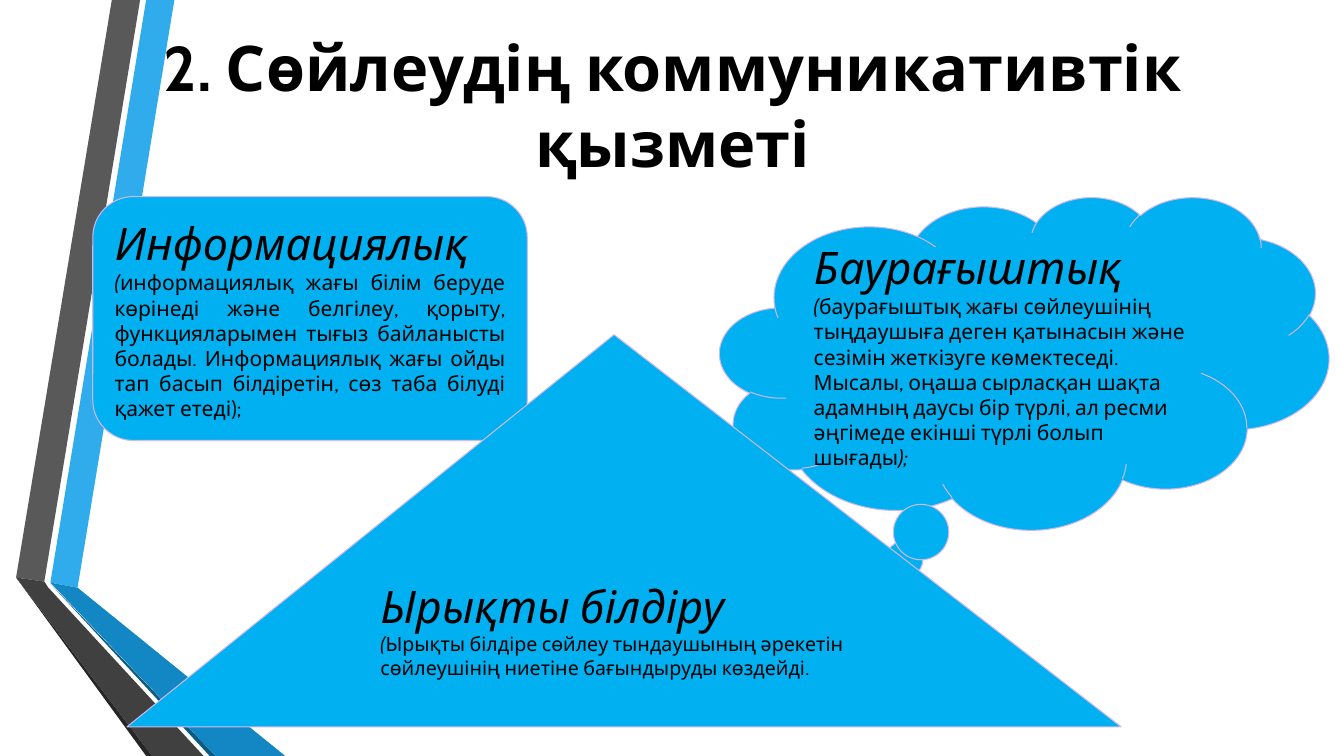
from pptx import Presentation
from pptx.dml.color import RGBColor
from pptx.enum.shapes import MSO_SHAPE
from pptx.enum.text import MSO_ANCHOR, PP_ALIGN
from pptx.util import Inches, Pt

ROUNDED = MSO_SHAPE.ROUNDED_RECTANGLE
CLOUD = MSO_SHAPE.CLOUD_CALLOUT
TRIANGLE = MSO_SHAPE.ISOSCELES_TRIANGLE
MIDDLE = MSO_ANCHOR.MIDDLE
LEFT, CENTER, JUSTIFY = PP_ALIGN.LEFT, PP_ALIGN.CENTER, PP_ALIGN.JUSTIFY

FONT = "Cabin"
BLACK = RGBColor(0x00, 0x00, 0x00)
SKY = RGBColor(0x00, 0xB0, 0xF0)
LILAC = RGBColor(0xD0, 0xB8, 0xEE)
LIGHT_BLUE = RGBColor(0x30, 0xAC, 0xEC)
MID_BLUE = RGBColor(0x12, 0x87, 0xC3)
DEEP_BLUE = RGBColor(0x0C, 0x5A, 0x82)
GRAY = RGBColor(0x59, 0x59, 0x59)
DARK_GRAY = RGBColor(0x40, 0x40, 0x40)
CHARCOAL = RGBColor(0x26, 0x26, 0x26)

RIBBONS = [
    (LIGHT_BLUE, [(0.5, 5.78), (0.77, 5.83), (1.73, 0), (1.45, 0)]),
    (GRAY, [(1.39, 0), (1.11, 0), (0.16, 5.73), (0.44, 5.77)]),
    (CHARCOAL, [(0.16, 5.73), (1.45, 7.5), (1.51, 7.5)]),
    (DEEP_BLUE, [(0.5, 5.79), (2.08, 7.5), (2.14, 7.5)]),
    (MID_BLUE, [(0.5, 5.78), (2.14, 7.5), (2.83, 7.5), (0.77, 5.83)]),
    (DARK_GRAY, [(2.02, 7.5), (0.48, 5.83), (0.44, 5.77), (0.16, 5.73), (1.51, 7.5)]),
]

INFORMATION = [[
    ("Информациялық", 32, True),
    (" (", 15, True),
    ("информациялық жағы білім беруде көрінеді және белгілеу, қорыту, "
     "функцияларымен тығыз байланысты болады. Информациялық жағы ойды тап "
     "басып білдіретін, сөз таба білуді қажет етеді);", 15, False),
]]
ATTRACTION = [[
    ("Баурағыштық ", 32, True),
    ("(", 15, True),
    ("баурағыштық жағы сөйлеушінің тыңдаушыға деген қатынасын және сезімін "
     "жеткізуге көмектеседі. Мысалы, оңаша сырласқан шақта адамның даусы бір "
     "түрлі, ал ресми әңгімеде екінші түрлі болып шығады", 15, False),
    (");", 15, True),
]]
WILL = [
    [("Ырықты білдіру", 32, True)],
    [("(", 14, True),
     ("Ырықты білдіре сөйлеу тындаушының әрекетін сөйлеушінің ниетіне "
      "бағындыруды көздейді.", 14, False)],
]


def add_run(paragraph, text, size, italic=False, bold=False):
    run = paragraph.add_run()
    run.text = text
    run.font.name = FONT
    run.font.size = Pt(size)
    run.font.italic = italic
    run.font.bold = bold
    run.font.color.rgb = BLACK


def add_ribbon(slide, color, points):
    corners = [(Inches(x), Inches(y)) for x, y in points]
    builder = slide.shapes.build_freeform(*corners[0])
    builder.add_line_segments(corners[1:])
    ribbon = builder.convert_to_shape()
    ribbon.shadow.inherit = False
    ribbon.fill.solid()
    ribbon.fill.fore_color.rgb = color
    ribbon.line.fill.background()


def add_title(slide, text, box):
    frame = slide.shapes.add_textbox(*map(Inches, box)).text_frame
    frame.word_wrap = True
    frame.vertical_anchor = MIDDLE
    heading = frame.paragraphs[0]
    heading.alignment = CENTER
    add_run(heading, text, 45, bold=True)


def add_function(slide, kind, box, paragraphs, alignment=LEFT):
    panel = slide.shapes.add_shape(kind, *map(Inches, box))
    panel.shadow.inherit = False
    panel.fill.solid()
    panel.fill.fore_color.rgb = SKY
    panel.line.color.rgb = LILAC
    panel.line.width = Pt(0.75)
    frame = panel.text_frame
    frame.word_wrap = True
    frame.vertical_anchor = MIDDLE
    for index, runs in enumerate(paragraphs):
        paragraph = frame.add_paragraph() if index else frame.paragraphs[0]
        paragraph.alignment = alignment
        for text, size, italic in runs:
            add_run(paragraph, text, size, italic)
    return panel


def main():
    deck = Presentation()
    deck.slide_width = Inches(13.33)
    deck.slide_height = Inches(7.5)
    slide = deck.slides.add_slide(deck.slide_layouts[6])

    for color, points in RIBBONS:
        add_ribbon(slide, color, points)
    add_title(slide, "2. Сөйлеудің коммуникативтік қызметі", (0.92, 0.31, 11.5, 1.45))
    add_function(slide, ROUNDED, (0.92, 1.95, 4.31, 2.42), INFORMATION, JUSTIFY)
    add_function(slide, CLOUD, (7.14, 1.95, 6.04, 3.3), ATTRACTION)
    will = add_function(slide, TRIANGLE, (1.26, 3.32, 9.86, 3.89), WILL)
    will.adjustments[0] = 0.49

    deck.save("out.pptx")


if __name__ == "__main__":
    main()
